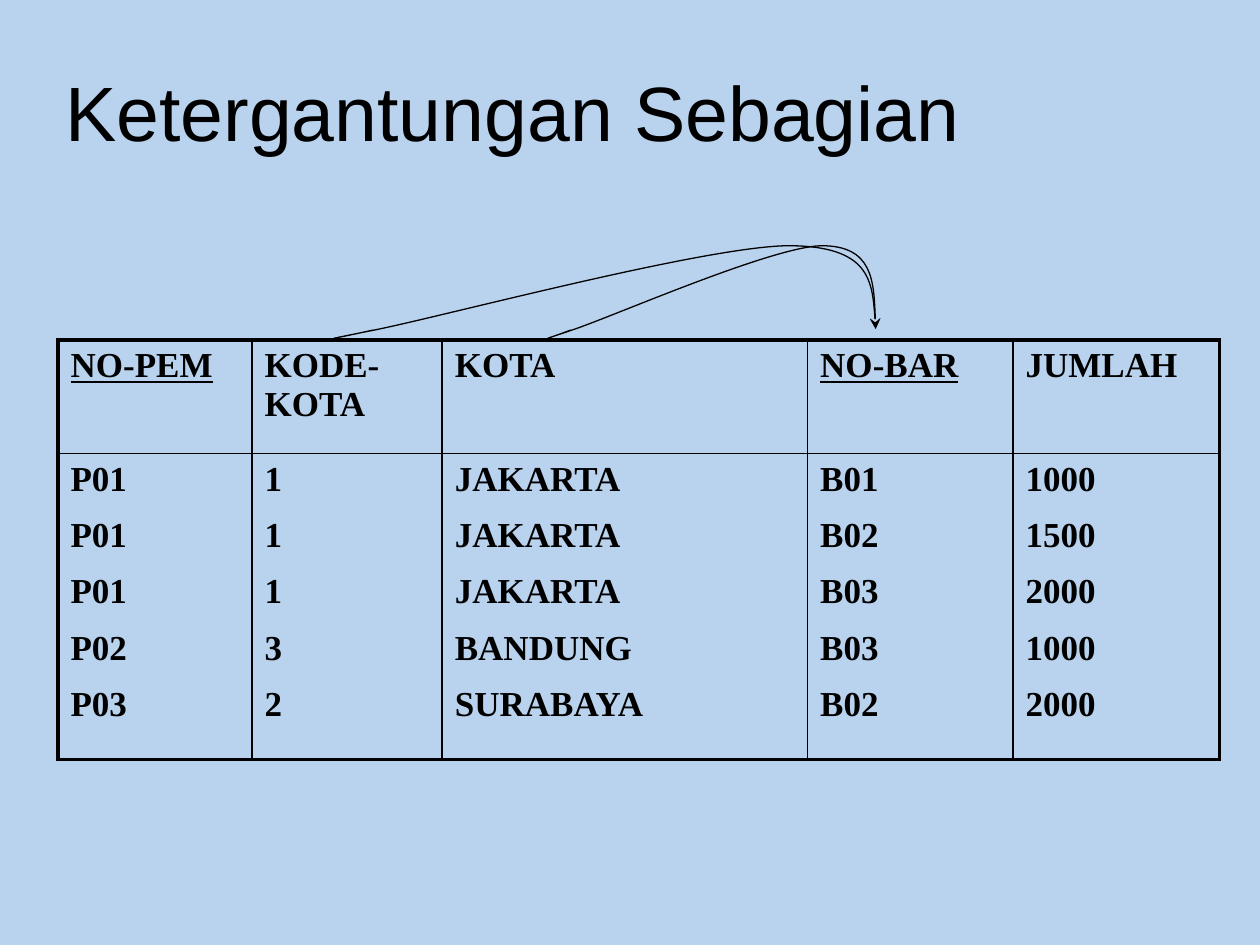
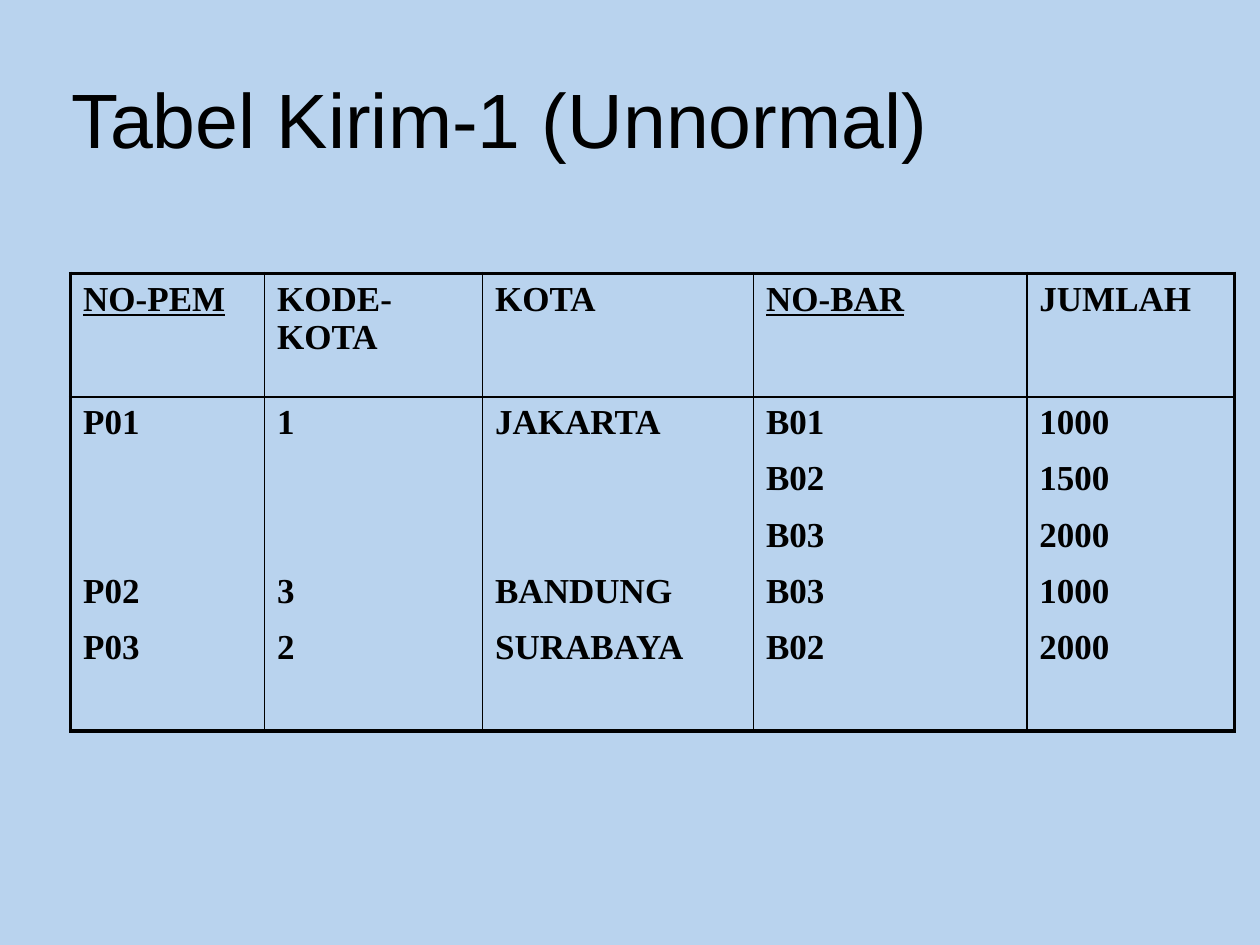
from lxml import etree
from pptx import Presentation
from pptx import util as u
from pptx.dml.color import RGBColor
from pptx.enum import text
from pptx.oxml import ns

SKY = RGBColor(0xB9, 0xD3, 0xEE)
INK = RGBColor(0, 0, 0)
TITLE_FONT, TABLE_FONT = "Arial", "Times New Roman"
TITLE_SIZE, TABLE_SIZE = 44, 20
OUTER, INNER = 2.25, 1
PARA_GAP = TABLE_SIZE / 2
LINE_PITCH = 32.2
GRID_COLS = 100
SLIDE_W, SLIDE_H = u.Inches(10), u.Inches(7.5)

HEADERS = ["NO-PEM", "KODE-KOTA", "KOTA", "NO-BAR", "JUMLAH"]
KEYS = {"NO-PEM", "NO-BAR"}
SHIPMENTS = [
    ("P01", "1", "JAKARTA", "B01", "1000"),
    ("P01", "1", "JAKARTA", "B02", "1500"),
    ("P01", "1", "JAKARTA", "B03", "2000"),
    ("P02", "3", "BANDUNG", "B03", "1000"),
    ("P03", "2", "SURABAYA", "B02", "2000"),
]
SUPPLIER_COLS = 3

KODE_KOTA_CURVE = [
    (69.5, 26.1), (69.3, 22.8), (69.1, 19.5), (62.5, 19.5),
    (55.8, 19.6), (35.2, 25.1), (29.7, 26.2),
    (24.2, 27.3), (26.9, 26.8), (29.6, 26.2)]
KOTA_CURVE = [
    (69.5, 26.1), (69.4, 22.8), (69.3, 19.5), (65.2, 19.5),
    (61.2, 19.6), (48.7, 25.1), (45.4, 26.2),
    (42.1, 27.3), (43.7, 26.8), (45.3, 26.2)]


def grid(n):
    return round(n * SLIDE_W / GRID_COLS)


def add_run(p, words, font, size, bold=False, underline=False):
    r = p.add_run()
    r.text = words
    r.font.name, r.font.size = font, u.Pt(size)
    r.font.bold, r.font.underline = bold, underline
    r.font.color.rgb = INK


def add_slide(prs, title, left, top):
    s = prs.slides.add_slide(prs.slide_layouts[6])
    s.background.fill.solid()
    s.background.fill.fore_color.rgb = SKY
    tf = s.shapes.add_textbox(grid(left), grid(top), grid(90), grid(12.5)).text_frame
    tf.word_wrap = True
    tf.vertical_anchor = text.MSO_ANCHOR.MIDDLE
    add_run(tf.paragraphs[0], title, TITLE_FONT, TITLE_SIZE)
    return s


def set_borders(cell, widths):
    tc_pr = cell._tc.get_or_add_tcPr()
    for side, width in widths.items():
        ln = etree.SubElement(tc_pr, ns.qn(f"a:ln{side}"), w=str(u.Pt(width)))
        fill = etree.SubElement(ln, ns.qn("a:solidFill"))
        etree.SubElement(fill, ns.qn("a:srgbClr"), val=str(INK))


def fill_cell(cell, entries):
    gap = 0
    p = cell.text_frame.paragraphs[0]
    for i, entry in enumerate(entries):
        if i:
            gap += PARA_GAP if gap == 0 else LINE_PITCH
        if entry is None:
            continue
        if i:
            p = cell.text_frame.add_paragraph()
            p.space_before = u.Pt(gap)
        add_run(p, entry, TABLE_FONT, TABLE_SIZE, True, entry in KEYS)
        gap = 0


def add_shipment_table(s, left, top, col_widths, row_heights, records):
    frame = s.shapes.add_table(2, len(HEADERS), grid(left), grid(top),
                               grid(sum(col_widths)), grid(sum(row_heights)))
    table = frame.table
    table.first_row = table.horz_banding = False
    for row, height in zip(table.rows, row_heights):
        row.height = grid(height)
    last = len(HEADERS) - 1
    for c, (header, column) in enumerate(zip(HEADERS, zip(*records))):
        table.columns[c].width = grid(col_widths[c])
        for r, entries in enumerate(([header], column)):
            cell = table.cell(r, c)
            fill_cell(cell, entries)
            set_borders(cell, {
                "L": OUTER if c == 0 else INNER,
                "R": OUTER if c == last else INNER,
                "T": OUTER if r == 0 else INNER,
                "B": OUTER if r == 1 else INNER})
            cell.fill.background()


def add_dependency_curve(s, points):
    start, *rest = [(grid(x), grid(y)) for x, y in points]
    builder = s.shapes.build_freeform(*start)
    builder.add_line_segments(rest, close=False)
    sp = builder.convert_to_shape()
    sp.shadow.inherit = False
    sp.fill.background()
    sp.line.color.rgb = INK
    sp.line.width = u.Pt(0.75)
    etree.SubElement(sp.line._get_or_add_ln(), ns.qn("a:headEnd"), type="stealth")
    segments = list(sp._element.iter(ns.qn("a:lnTo")))
    for i in range(0, len(segments), 3):
        bezier = etree.SubElement(segments[i].getparent(), ns.qn("a:cubicBezTo"))
        for segment in segments[i:i + 3]:
            bezier.append(segment[0])
            segment.getparent().remove(segment)


def group_by_supplier(records):
    grouped, previous = [], None
    for record in records:
        supplier = record[:SUPPLIER_COLS]
        shown = (None,) * SUPPLIER_COLS if supplier == previous else supplier
        grouped.append(shown + record[SUPPLIER_COLS:])
        previous = supplier
    return grouped


def main():
    prs = Presentation()
    prs.slide_width, prs.slide_height = SLIDE_W, SLIDE_H

    s = add_slide(prs, "Ketergantungan Sebagian", 4.2, 2.5)
    add_shipment_table(s, 4.6, 27, [15.4, 15.1, 29, 16.3, 16.4], [9, 24.3], SHIPMENTS)
    for curve in (KODE_KOTA_CURVE, KOTA_CURVE):
        add_dependency_curve(s, curve)

    s = add_slide(prs, "Tabel Kirim-1 (Unnormal)", 4.7, 3.1)
    add_shipment_table(s, 5.6, 21.7, [15.4, 17.3, 21.5, 21.7, 16.5], [9.8, 26.5],
                       group_by_supplier(SHIPMENTS))

    prs.save("out.pptx")


if __name__ == "__main__":
    main()
